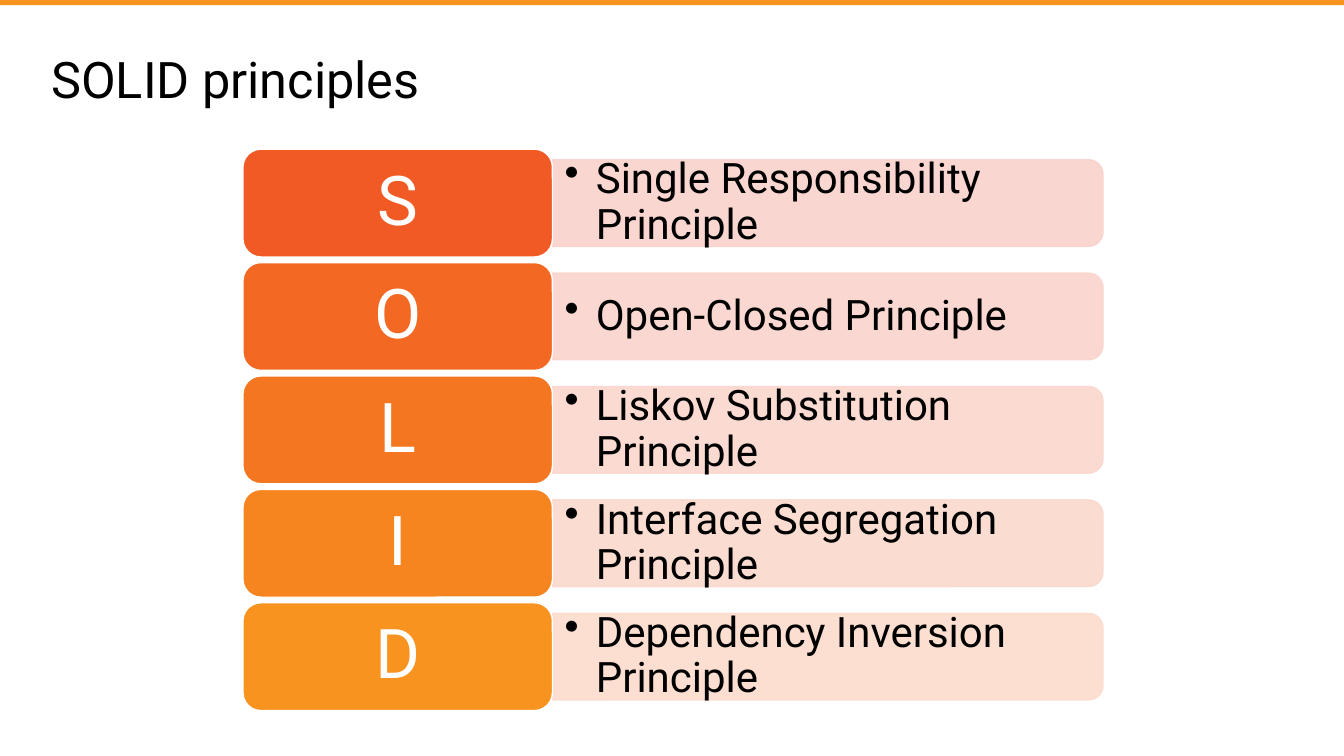
from lxml.etree import SubElement
from pptx import Presentation
from pptx.dml.color import RGBColor
from pptx.enum.shapes import MSO_SHAPE
from pptx.enum.text import MSO_ANCHOR, MSO_AUTO_SIZE, PP_ALIGN
from pptx.oxml.ns import qn
from pptx.util import Inches, Pt

FONT = "Roboto"
BLACK = RGBColor(0x00, 0x00, 0x00)
WHITE = RGBColor(0xFF, 0xFF, 0xFF)
ORANGE = RGBColor(0xF7, 0x93, 0x1E)

# Letter, principle, tile colour, bar colour
PRINCIPLES = [
    ("S", "Single Responsibility Principle",
     RGBColor(0xF1, 0x5A, 0x24), RGBColor(0xFA, 0xD2, 0xCD)),
    ("O", "Open-Closed Principle",
     RGBColor(0xF3, 0x68, 0x22), RGBColor(0xFA, 0xD4, 0xCD)),
    ("L", "Liskov Substitution Principle",
     RGBColor(0xF4, 0x76, 0x21), RGBColor(0xFB, 0xD7, 0xCD)),
    ("I", "Interface Segregation Principle",
     RGBColor(0xF6, 0x84, 0x1F), RGBColor(0xFB, 0xD9, 0xCD)),
    ("D", "Dependency Inversion Principle",
     ORANGE, RGBColor(0xFC, 0xDC, 0xCD)),
]

# Row geometry in inches
FIRST_TOP = 1.48
ROW_PITCH = 4.5 / 4
TILE_LEFT, TILE_WIDTH, TILE_HEIGHT = 2.41, 3.07, 1.07
BAR_LEFT, BAR_LENGTH, BAR_THICKNESS = 5.48, 5.46, 0.86
LABEL_WIDTH, LABEL_HEIGHT = 5.42, 0.77
BULLET_INDENT = 0.31


def write_text(shape, text, size, color, align, inset_x=0.1, inset_y=0.05):
    frame = shape.text_frame
    frame.text = text
    frame.word_wrap = True
    frame.auto_size = MSO_AUTO_SIZE.NONE
    frame.vertical_anchor = MSO_ANCHOR.MIDDLE
    frame.margin_left = frame.margin_right = Inches(inset_x)
    frame.margin_top = frame.margin_bottom = Inches(inset_y)
    paragraph = frame.paragraphs[0]
    paragraph.alignment = align
    paragraph.line_spacing = 0.9
    font = paragraph.runs[0].font
    font.name, font.size = FONT, Pt(size)
    font.color.rgb = color
    return paragraph


def add_filled_shape(slide, preset, left, top, width, height, fill, line=None):
    shape = slide.shapes.add_shape(
        preset, Inches(left), Inches(top), Inches(width), Inches(height))
    shape.shadow.inherit = False
    shape.fill.solid()
    shape.fill.fore_color.rgb = fill
    if line is None:
        shape.line.fill.background()
    else:
        shape.line.color.rgb = line
        shape.line.width = Pt(1)
    return shape


def add_bar(slide, middle, color):
    # An upright shape turned a quarter, so its rounded end faces right
    bar = add_filled_shape(
        slide, MSO_SHAPE.ROUND_2_SAME_RECTANGLE,
        BAR_LEFT + (BAR_LENGTH - BAR_THICKNESS) / 2, middle - BAR_LENGTH / 2,
        BAR_THICKNESS, BAR_LENGTH, color, color)
    bar.rotation = 90
    for color_node in bar.element.spPr.iter(qn("a:srgbClr")):
        SubElement(color_node, qn("a:alpha"), val="90000")


def add_label(slide, middle, principle):
    label = slide.shapes.add_textbox(
        Inches(BAR_LEFT), Inches(middle - LABEL_HEIGHT / 2),
        Inches(LABEL_WIDTH), Inches(LABEL_HEIGHT))
    paragraph = write_text(label, principle, 30, BLACK, PP_ALIGN.LEFT, 0.12, 0.06)
    properties = paragraph._p.get_or_add_pPr()
    properties.set("marL", str(Inches(BULLET_INDENT)))
    properties.set("indent", str(-Inches(BULLET_INDENT)))
    SubElement(properties, qn("a:buChar"), char="•")


def add_tile(slide, top, letter, color):
    tile = add_filled_shape(
        slide, MSO_SHAPE.ROUNDED_RECTANGLE, TILE_LEFT, top,
        TILE_WIDTH, TILE_HEIGHT, color, WHITE)
    write_text(tile, letter, 49, WHITE, PP_ALIGN.CENTER, 0.2, 0.1)


def add_title(slide, text):
    title = slide.shapes.title
    title.left, title.top = Inches(0.41), Inches(0.4)
    title.width, title.height = Inches(12.52), Inches(0.83)
    write_text(title, text, 36, BLACK, PP_ALIGN.LEFT)


def main():
    deck = Presentation()
    deck.slide_width, deck.slide_height = Inches(13.33), Inches(7.5)
    slide = deck.slides.add_slide(deck.slide_layouts[5])

    # Top band and title
    add_filled_shape(slide, MSO_SHAPE.RECTANGLE, 0, 0, 13.33, 0.05, ORANGE)
    add_title(slide, "SOLID principles")

    # One row per principle
    for row, (letter, principle, tile_color, bar_color) in enumerate(PRINCIPLES):
        top = FIRST_TOP + row * ROW_PITCH
        middle = top + TILE_HEIGHT / 2
        add_bar(slide, middle, bar_color)
        add_label(slide, middle, principle)
        add_tile(slide, top, letter, tile_color)

    deck.save("out.pptx")


if __name__ == "__main__":
    main()
